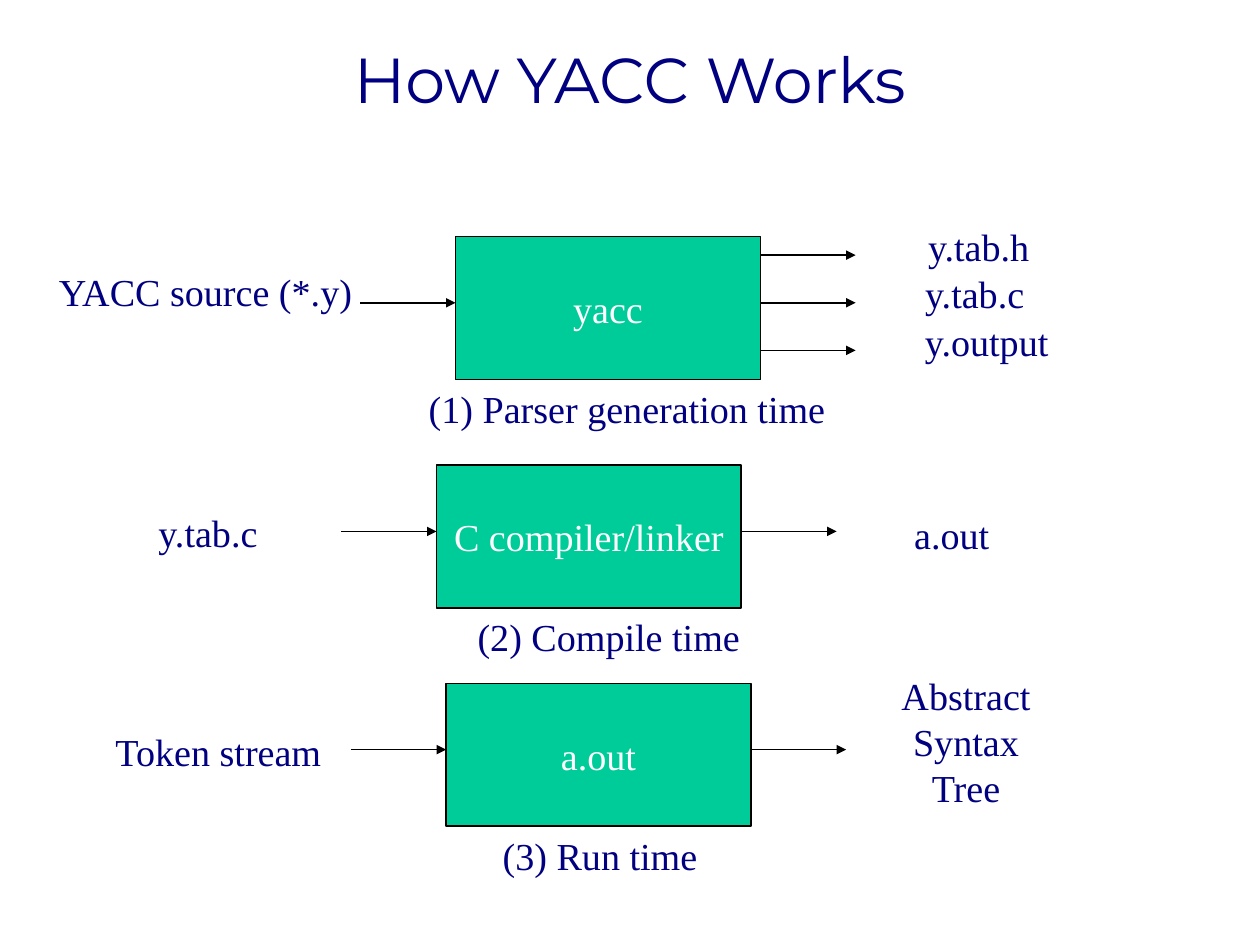
from lxml import etree
from pptx import Presentation
from pptx.dml.color import RGBColor
from pptx.enum import shapes, text
from pptx.oxml import ns
from pptx.util import Pt

NAVY = RGBColor(0x00, 0x00, 0x80)
GREEN = RGBColor(0x00, 0xCC, 0x99)
BLACK = RGBColor(0x00, 0x00, 0x00)
WHITE = RGBColor(0xFF, 0xFF, 0xFF)

WIDE, HIGH = 192, 90    # stage box
MID, STEP = 41.75, 30   # middle arrow below the box top, gap between arrows
REACH = 60              # arrow length
ROW = 36                # label height

# Label: (words, left, top, width), left and top counted from the box corner
STAGES = [
    dict(left=287, top=149, name="yacc", arrows=(-1, 0, 1), labels=[
        ("YACC source (*.y)", -257, 16.5, 199),
        ("y.tab.h", 290, -12, 79),
        ("y.tab.c", 288, 18, 78),
        ("y.output", 288, 48, 93),
        ("(1) Parser generation time", -25, HIGH, 266)]),
    dict(left=275, top=293, name="C compiler/linker", arrows=(0,), labels=[
        ("y.tab.c", -183, 24, 78),
        ("a.out", 293, 25.5, 63),
        ("(2) Compile time", 18, HIGH, 181)]),
    dict(left=281, top=430.5, name="a.out", arrows=(0,), labels=[
        ("Token stream", -216, 24.5, 145),
        ("Abstract\nSyntax\nTree", 279.5, -10.5, 96),
        ("(3) Run time", 28, HIGH, 138)]),
]


def write(shape, words, color, size=24, font="Times New Roman", **extra):
    frame = shape.text_frame
    look = dict(word_wrap=False, vertical_anchor=text.MSO_ANCHOR.MIDDLE)
    for key, value in (look | extra).items():
        setattr(frame, key, value)
    frame.text = words
    for para in frame.paragraphs:
        para.alignment = text.PP_ALIGN.CENTER
        for key, value in dict(size=Pt(size), name=font).items():
            setattr(para.font, key, value)
        para.font.color.rgb = color


def label(slide, words, left, top, width):
    height = ROW + 29 * words.count("\n")
    box = slide.shapes.add_textbox(Pt(left), Pt(top), Pt(width), Pt(height))
    write(box, words, NAVY, auto_size=text.MSO_AUTO_SIZE.SHAPE_TO_FIT_TEXT)


def arrow(slide, left, top):
    line = slide.shapes.add_connector(
        shapes.MSO_CONNECTOR.STRAIGHT, Pt(left), Pt(top), Pt(left + REACH), Pt(top))
    line.line.color.rgb = BLACK
    line.line.width = Pt(1)
    etree.SubElement(line.line._get_or_add_ln(), ns.qn("a:tailEnd"), type="triangle")
    etree.SubElement(line._element.spPr, ns.qn("a:effectLst"))


def title(slide, words, left, top, width, height):
    box = slide.shapes.add_textbox(Pt(left), Pt(top), Pt(width), Pt(height))
    write(box, words, NAVY, 40, "Montserrat", word_wrap=True,
          vertical_anchor=text.MSO_ANCHOR.TOP, margin_left=0, margin_right=0,
          margin_top=Pt(6), margin_bottom=0)


def stage(slide, left, top, name, arrows, labels):
    """Draw a box with one arrow in, its arrows out, and its labels."""
    box = slide.shapes.add_shape(
        shapes.MSO_SHAPE.RECTANGLE, Pt(left), Pt(top), Pt(WIDE), Pt(HIGH))
    box.shadow.inherit = False
    box.fill.solid()
    box.fill.fore_color.rgb = GREEN
    box.line.color.rgb = BLACK
    box.line.width = Pt(1)
    write(box, name, WHITE)
    arrow(slide, left - REACH, top + MID)
    for row in arrows:
        arrow(slide, left + WIDE, top + MID + row * STEP)
    for words, dx, dy, width in labels:
        label(slide, words, left + dx, top + dy, width)


def main():
    deck = Presentation()
    deck.slide_width, deck.slide_height = Pt(793.7), Pt(595.28)
    slide = deck.slides.add_slide(deck.slide_layouts[6])
    title(slide, "How YACC Works", 39.5, 19, 714.5, 109)
    for part in STAGES:
        stage(slide, **part)
    deck.save("out.pptx")


if __name__ == "__main__":
    main()
